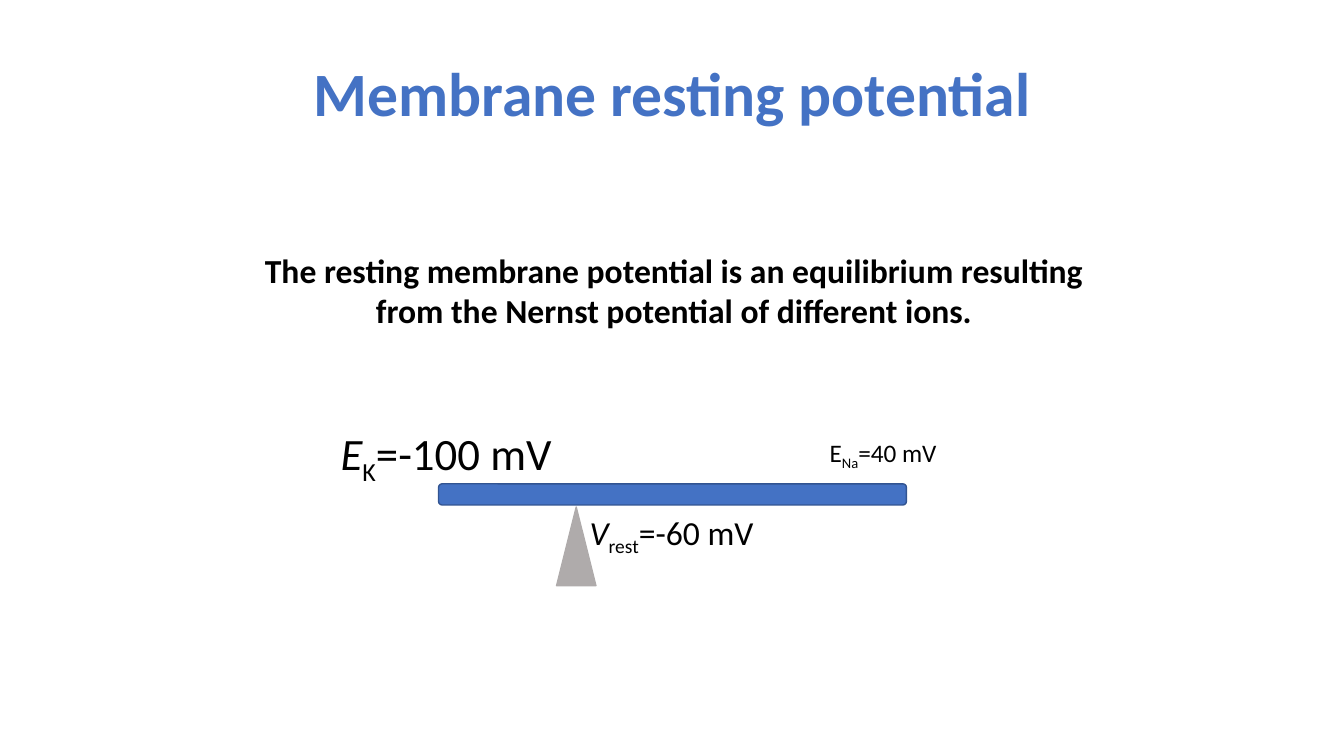
from dataclasses import dataclass

import pptx
import pptx.dml.color
import pptx.enum.shapes
import pptx.enum.text
import pptx.presentation
import pptx.slide
import pptx.text.text
import pptx.util
from pptx.dml.color import RGBColor
from pptx.enum.shapes import MSO_SHAPE
from pptx.util import Inches

FONT = "Calibri"
BLUE = RGBColor(0x44, 0x72, 0xC4)
DARK_BLUE = RGBColor(0x32, 0x54, 0x91)
GRAY = RGBColor(0xAF, 0xAB, 0xAB)
BLACK = RGBColor(0, 0, 0)
SUBSCRIPT = "-25000"


@dataclass(frozen=True)
class Box:
    left: float
    top: float
    width: float
    height: float

    def lengths(self) -> tuple[int, int, int, int]:
        return (Inches(self.left), Inches(self.top),
                Inches(self.width), Inches(self.height))


@dataclass(frozen=True)
class Potential:
    symbol: str
    subscript: str
    value: str
    size: int
    box: Box
    italic_symbol: bool = True


@dataclass(frozen=True)
class BalancePart:
    preset: MSO_SHAPE
    box: Box
    fill: RGBColor
    outline: RGBColor


BALANCE = [
    BalancePart(MSO_SHAPE.ISOSCELES_TRIANGLE, Box(5.52, 5.03, 0.39, 0.78), GRAY, GRAY),
    BalancePart(MSO_SHAPE.ROUNDED_RECTANGLE, Box(4.35, 4.8, 4.64, 0.21), BLUE, DARK_BLUE),
]
POTENTIALS = [
    Potential("E", "K", "=-100 mV", 32, Box(3.28, 4.17, 2.34, 0.64)),
    Potential("V", "rest", "=-60 mV", 24, Box(5.75, 5.03, 1.87, 0.5)),
    Potential("E", "Na", "=40 mV", 18, Box(8.13, 4.29, 1.3, 0.4), italic_symbol=False),
]


def add_run(paragraph: pptx.text.text._Paragraph, text: str, size: int,
            color: RGBColor = BLACK, bold: bool = False,
            italic: bool = False, subscript: bool = False) -> None:
    run = paragraph.add_run()
    run.text = text
    run.font.name = FONT
    run.font.size = pptx.util.Pt(size)
    run.font.color.rgb = color
    run.font.bold = bold
    run.font.italic = italic
    if subscript:
        run.font._element.set("baseline", SUBSCRIPT)


def add_title(slide: pptx.slide.Slide) -> None:
    title = slide.shapes.title
    title.left, title.top, title.width, title.height = Box(0.92, 0.23, 11.5, 1.45).lengths()
    title.text_frame.vertical_anchor = pptx.enum.text.MSO_ANCHOR.MIDDLE
    heading = title.text_frame.paragraphs[0]
    heading.alignment = pptx.enum.text.PP_ALIGN.CENTER
    heading.line_spacing = 0.9
    add_run(heading, "Membrane resting potential", 44, BLUE, bold=True)


def add_balance_part(slide: pptx.slide.Slide, part: BalancePart) -> None:
    shape = slide.shapes.add_shape(part.preset, *part.box.lengths())
    shape.shadow.inherit = False
    shape.fill.solid()
    shape.fill.fore_color.rgb = part.fill
    shape.line.color.rgb = part.outline
    shape.line.width = pptx.util.Pt(1)


def add_text(slide: pptx.slide.Slide, box: Box, wrap: bool) -> pptx.text.text._Paragraph:
    """Add an auto-growing text box and return its first paragraph."""
    frame = slide.shapes.add_textbox(*box.lengths()).text_frame
    frame.word_wrap = wrap
    frame.auto_size = pptx.enum.text.MSO_AUTO_SIZE.SHAPE_TO_FIT_TEXT
    return frame.paragraphs[0]


def add_potential(slide: pptx.slide.Slide, potential: Potential) -> None:
    label = add_text(slide, potential.box, wrap=False)
    add_run(label, potential.symbol, potential.size, italic=potential.italic_symbol)
    add_run(label, potential.subscript, potential.size, subscript=True)
    add_run(label, potential.value, potential.size)


def add_statement(slide: pptx.slide.Slide) -> None:
    statement = add_text(slide, Box(2.33, 2.43, 8.71, 0.91), wrap=True)
    statement.alignment = pptx.enum.text.PP_ALIGN.CENTER
    add_run(statement, "The resting membrane potential is an equilibrium resulting "
            "from the Nernst potential of different ions.", 24, bold=True)


def main() -> None:
    presentation = pptx.Presentation()
    presentation.slide_width = Inches(13.33)
    presentation.slide_height = Inches(7.5)
    slide = presentation.slides.add_slide(presentation.slide_layouts.get_by_name("Title Only"))
    add_title(slide)
    for part in BALANCE:
        add_balance_part(slide, part)
    for potential in POTENTIALS:
        add_potential(slide, potential)
    add_statement(slide)
    presentation.save("out.pptx")


if __name__ == "__main__":
    main()
